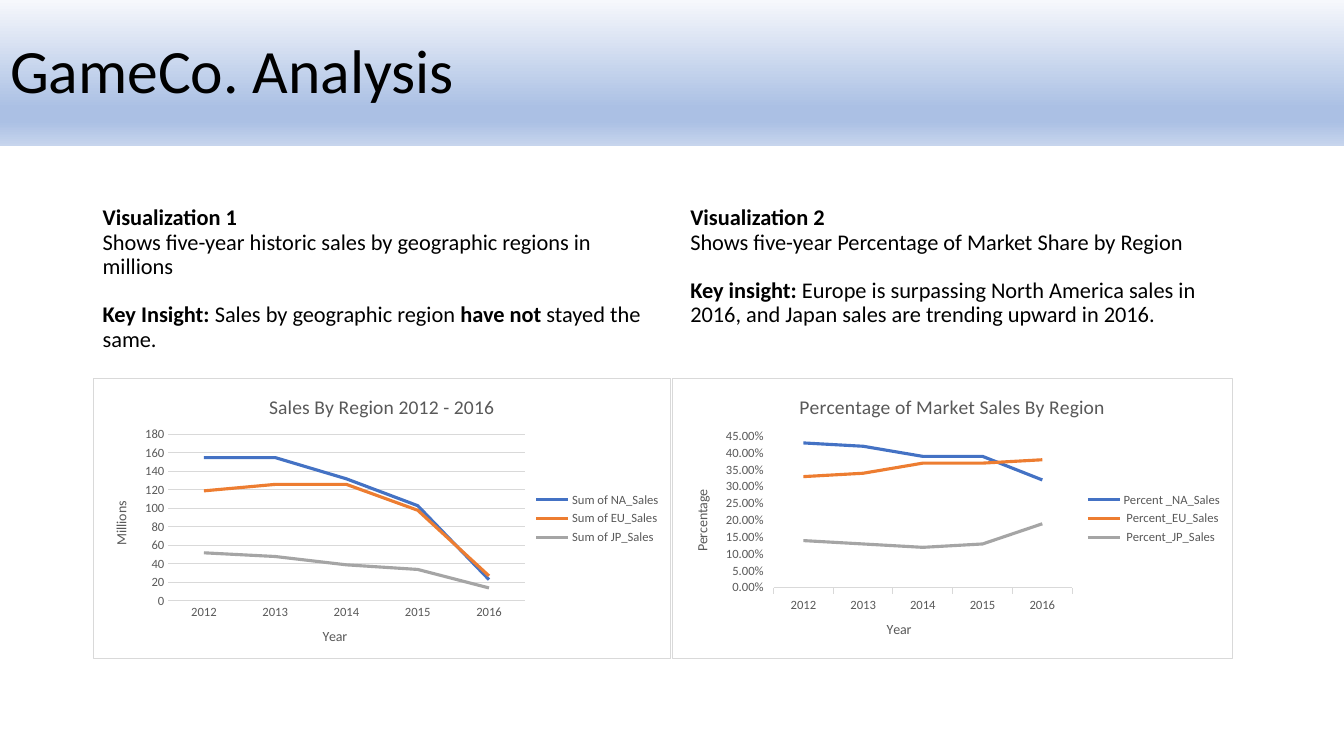
from dataclasses import dataclass
from lxml.etree import SubElement
from pptx import Presentation
from pptx.chart.data import CategoryChartData
from pptx.dml.color import RGBColor
from pptx.enum.chart import XL_CHART_TYPE, XL_LEGEND_POSITION, XL_TICK_MARK
from pptx.enum.text import MSO_ANCHOR, MSO_AUTO_SIZE, PP_ALIGN
from pptx.oxml import parse_xml
from pptx.oxml.ns import nsdecls, qn
from pptx.util import Pt

TITLE = "GameCo. Analysis"
YEARS = ["2012", "2013", "2014", "2015", "2016"]
PANELS = [
    {
        "text_left": 66.24,
        "text_fill": True,
        "paragraphs": [
            (10, [("Visualization 1", True)]),
            (0, [("Shows five-year historic sales by geographic regions in millions", False)]),
            (17.5, [("Key Insight: ", True), ("Sales by geographic region ", False),
                    ("have not ", True), ("stayed the same.", False)]),
        ],
        "chart_left": 66.24,
        "chart_width": 413.28,
        "chart_title": "Sales By Region 2012 - 2016",
        "value_title": "Millions",
        "number_format": "General",
        "scale": (180, 20),
        "grid": True,
        "tick": XL_TICK_MARK.NONE,
        "plot": (0.13, 0.2, 0.617, 0.594),
        "series": [
            ("Sum of NA_Sales", (155, 155, 132, 103, 23)),
            ("Sum of EU_Sales", (119, 126, 126, 98, 27)),
            ("Sum of JP_Sales", (52, 48, 39, 34, 14)),
        ],
    },
    {
        "text_left": 486,
        "text_fill": False,
        "paragraphs": [
            (10, [("Visualization 2", True)]),
            (0, [("Shows five-year Percentage of Market Share by Region", False)]),
            (17.5, [("Key insight: ", True),
                    ("Europe is surpassing North America sales in 2016, "
                     "and Japan sales are trending upward in 2016.", False)]),
        ],
        "chart_left": 480.24,
        "chart_width": 400.32,
        "chart_title": "Percentage of Market Sales By Region",
        "value_title": "Percentage",
        "number_format": "0.00%",
        "scale": (0.45, 0.05),
        "grid": False,
        "tick": XL_TICK_MARK.OUTSIDE,
        "plot": (0.18, 0.206, 0.534, 0.541),
        "series": [
            ("Percent _NA_Sales", (0.43, 0.42, 0.39, 0.39, 0.32)),
            (" Percent_EU_Sales", (0.33, 0.34, 0.37, 0.37, 0.38)),
            (" Percent_JP_Sales ", (0.14, 0.13, 0.12, 0.13, 0.19)),
        ],
    },
]


@dataclass(frozen=True)
class Theme:
    font: str = "Calibri"
    ink: str = "000000"
    muted: str = "595959"
    rule: str = "D9D9D9"
    paper: str = "FFFFFF"
    series: tuple = ("4472C4", "ED7D31", "A5A5A5")
    band: tuple = ((0, "F6F8FC"), (74, "ABC0E4"), (83, "ABC0E4"), (100, "C7D5ED"))
    title_size: float = 44
    body_size: float = 16
    chart_title_size: float = 14
    axis_title_size: float = 10
    label_size: float = 9
    rule_width: float = 0.75
    series_width: float = 2.25


THEME = Theme()


def style_font(font, size, color, bold=False):
    font.name = THEME.font
    font.size = Pt(size)
    font.bold = bold
    font.color.rgb = RGBColor.from_string(color)


def style_line(line, color, width):
    line.color.rgb = RGBColor.from_string(color)
    line.width = Pt(width)


def add_span(para, text, size, color, bold=False):
    span = para.add_run()
    span.text = text
    style_font(span.font, size, color, bold)


def add_title(page, deck):
    title = page.shapes.title
    title.left, title.top, title.width, title.height = 0, 0, deck.slide_width, Pt(104.4)
    stops = "".join(
        f'<a:gs pos="{place * 1000}"><a:srgbClr val="{color}"/></a:gs>'
        for place, color in THEME.band)
    title.fill.background()
    properties = title.element.spPr
    properties.replace(properties.find(qn("a:noFill")), parse_xml(
        f'<a:gradFill {nsdecls("a")} rotWithShape="1"><a:gsLst>{stops}</a:gsLst>'
        '<a:lin ang="5400000" scaled="0"/></a:gradFill>'))
    frame = title.text_frame
    frame.auto_size = MSO_AUTO_SIZE.NONE
    frame.vertical_anchor = MSO_ANCHOR.MIDDLE
    para = frame.paragraphs[0]
    para.alignment = PP_ALIGN.LEFT
    para.line_spacing = 0.9
    add_span(para, TITLE, THEME.title_size, THEME.ink)


def add_description(page, panel):
    box = page.shapes.add_textbox(Pt(panel["text_left"]), Pt(144), Pt(408.24), Pt(342.72))
    if panel["text_fill"]:
        box.fill.solid()
        box.fill.fore_color.rgb = RGBColor.from_string(THEME.paper)
    frame = box.text_frame
    frame.word_wrap = True
    for index, (space, spans) in enumerate(panel["paragraphs"]):
        para = frame.add_paragraph() if index else frame.paragraphs[0]
        para.line_spacing = 0.9
        para.space_before = Pt(space)
        for text, bold in spans:
            add_span(para, text, THEME.body_size, THEME.ink, bold)


def add_heading(heading, text, size):
    add_span(heading.text_frame.paragraphs[0], text, size, THEME.muted)


def place_plot(chart, bounds):
    area = chart.element.find(".//" + qn("c:plotArea"))
    for layout in area.findall(qn("c:layout")):
        area.remove(layout)
    layout = parse_xml(f'<c:layout {nsdecls("c")}/>')
    manual = SubElement(layout, qn("c:manualLayout"))
    settings = [("layoutTarget", "inner"), ("xMode", "edge"), ("yMode", "edge")]
    settings += zip("xywh", bounds)
    for name, value in settings:
        SubElement(manual, qn("c:" + name)).set("val", str(value))
    area.insert(0, layout)


def frame_chart(chart):
    chart.element.find(qn("c:chart")).addnext(parse_xml(
        f'<c:spPr {nsdecls("c", "a")}>'
        f'<a:solidFill><a:srgbClr val="{THEME.paper}"/></a:solidFill>'
        f'<a:ln w="{Pt(THEME.rule_width)}"><a:solidFill><a:srgbClr val="{THEME.rule}"/>'
        '</a:solidFill></a:ln></c:spPr>'))


def add_sales_chart(page, panel):
    data = CategoryChartData(number_format=panel["number_format"])
    data.categories = YEARS
    for name, values in panel["series"]:
        data.add_series(name, values)
    chart = page.shapes.add_chart(
        XL_CHART_TYPE.LINE, Pt(panel["chart_left"]), Pt(270),
        Pt(panel["chart_width"]), Pt(200.88), data).chart
    style_font(chart.font, THEME.axis_title_size, THEME.ink)
    add_heading(chart.chart_title, panel["chart_title"], THEME.chart_title_size)
    chart.has_legend = True
    chart.legend.position = XL_LEGEND_POSITION.RIGHT
    chart.legend.include_in_layout = False
    style_font(chart.legend.font, THEME.label_size, THEME.muted)

    years, amounts = chart.category_axis, chart.value_axis
    for axis, text in ((years, "Year"), (amounts, panel["value_title"])):
        add_heading(axis.axis_title, text, THEME.axis_title_size)
        style_font(axis.tick_labels.font, THEME.label_size, THEME.muted)
        axis.major_tick_mark = panel["tick"]
        axis.minor_tick_mark = XL_TICK_MARK.NONE
    style_line(years.format.line, THEME.rule, THEME.rule_width)
    amounts.format.line.fill.background()
    amounts.minimum_scale = 0
    amounts.maximum_scale, amounts.major_unit = panel["scale"]
    amounts.tick_labels.number_format = panel["number_format"]
    amounts.tick_labels.number_format_is_linked = False
    amounts.has_major_gridlines = panel["grid"]
    if panel["grid"]:
        style_line(amounts.major_gridlines.format.line, THEME.rule, THEME.rule_width)
    amounts.axis_title.element.find(".//" + qn("a:bodyPr")).set("rot", "-5400000")

    plot = chart.plots[0]
    plot.vary_by_categories = False
    for series, color in zip(plot.series, THEME.series):
        series.smooth = False
        style_line(series.format.line, color, THEME.series_width)
    place_plot(chart, panel["plot"])
    frame_chart(chart)


def main():
    deck = Presentation()
    deck.slide_width, deck.slide_height = Pt(960), Pt(540)
    page = deck.slides.add_slide(deck.slide_layouts[5])
    add_title(page, deck)
    for panel in PANELS:
        add_description(page, panel)
    for panel in PANELS:
        add_sales_chart(page, panel)
    deck.save("out.pptx")


if __name__ == "__main__":
    main()
